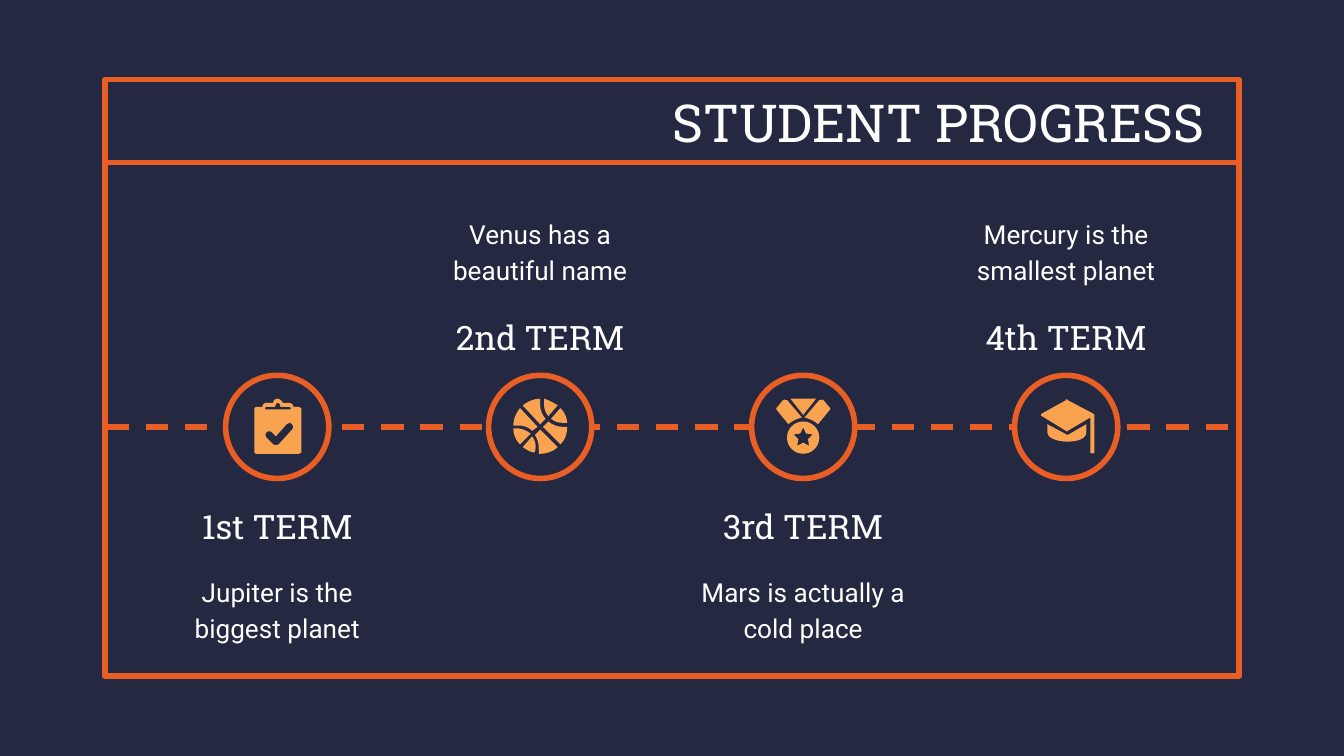
import math

from lxml import etree
from pptx import Presentation
from pptx.dml.color import RGBColor
from pptx.enum.dml import MSO_LINE
from pptx.enum.shapes import MSO_CONNECTOR, MSO_SHAPE
from pptx.enum.text import MSO_ANCHOR, PP_ALIGN
from pptx.oxml.ns import qn
from pptx.util import Cm, Pt

NAVY = RGBColor(0x24, 0x28, 0x41)
ORANGE = RGBColor(0xE9, 0x5E, 0x24)
AMBER = RGBColor(0xF9, 0xA3, 0x50)
WHITE = RGBColor(0xFF, 0xFF, 0xFF)
CENTER, RIGHT = PP_ALIGN.CENTER, PP_ALIGN.RIGHT
MIDDLE = MSO_ANCHOR.MIDDLE
STRAIGHT = MSO_CONNECTOR.STRAIGHT
RECTANGLE, OVAL = MSO_SHAPE.RECTANGLE, MSO_SHAPE.OVAL
DASH = MSO_LINE.DASH
BODY_FONT, HEAD_FONT = "Roboto", "Roboto Slab"

FIRST_X, PITCH, AXIS_Y = 5.24, 4.97, 8.07
DIAMETER, LABEL_WIDTH = 1.95, 4.52
ICON_UNIT = 0.0254  # cm
PRECISION = 100  # freeform steps per icon unit

TERMS = [
    ("1st TERM", "Jupiter is the biggest planet"),
    ("2nd TERM", "Venus has a beautiful name"),
    ("3rd TERM", "Mars is actually a cold place"),
    ("4th TERM", "Mercury is the smallest planet"),
]


def ring(cx, cy, radii, count):
    """Points around a centre, taking the radii in turn, from the top."""
    return [(cx + radii[i % len(radii)] * math.sin(math.tau * i / count),
             cy - radii[i % len(radii)] * math.cos(math.tau * i / count))
            for i in range(count)]


def mirrored(outline):
    return [tuple(-v if i % 2 == 0 else v for i, v in enumerate(step))
            for step in outline]


# An icon is a list of shapes, a shape a list of outlines (holes included).
# A step of an outline is a line (x, y) or a Bezier curve (x1, y1, x2, y2, x, y),
# measured from the centre of the marker.
CLIPBOARD = [[
    [(0, -21), (-1, -21, -3, -20, -3, -18), (-8, -18),
     (-9, -18, -11, -17, -11, -15), (-16, -15), (-17, -14), (-17, 19),
     (-16, 20), (16, 20), (18, 19), (18, -14), (16, -15), (12, -15),
     (12, -17, 10, -18, 8, -18), (4, -18), (4, -19, 2, -21, 0, -21)],
    [(0, -18), (1, -18, 2, -17, 2, -17), (2, -16, 2, -15, 3, -15), (8, -15),
     (9, -15, 10, -15, 10, -14), (10, -13), (-9, -13), (-9, -14),
     (-9, -15, -8, -15, -7, -15), (-2, -15), (-2, -15, -1, -16, -1, -17),
     (-1, -17, 0, -18, 0, -18)],
    [(9, -3), (10, -3, 11, -2, 11, -2), (12, -1, 12, 1, 11, 2), (1, 13),
     (0, 13.5, -2, 13.5, -3, 13), (-8, 8), (-9, 7, -9, 5, -8, 4),
     (-7, 3, -5, 3, -4, 4), (-1, 7), (7, -2), (8, -2, 8, -3, 9, -3)],
]]
BASKETBALL = [[outline] for outline in (
    [(-18, 1), (-18, 1, -19, 1, -20, 1), (-20, 6, -18, 10, -15, 13), (-7, 5),
     (-11, 2, -15, 1, -18, 1)],
    [(-15, -14), (-18, -10, -20, -6, -20, -1), (-20, -1, -19, -1, -18, -1),
     (-14, -1, -10, -1, -6, 3), (-2, 0)],
    [(-6, 7), (-13, 15), (-10, 17, -7, 19, -4, 19), (-3, 15, -3, 11, -6, 7)],
    [(6, -4), (2, 0), (15, 13), (19, 9, 20, 5, 20, 0), (19, 0),
     (15, 0, 11, 0, 6, -4)],
    [(0, 2), (-4, 6), (-1, 10, -1, 14, -1, 20), (0, 20),
     (5, 20, 10, 18, 13, 15)],
    [(3, -21), (3, -17, 2, -13, 6, -8), (13, -16), (10, -18, 6, -20, 3, -21)],
    [(0, -21), (-5, -21, -9, -19, -13, -16), (0, -2), (4, -6),
     (-1, -12, 0, -17, 0, -21)],
    [(15, -14), (8, -6), (12, -3, 15, -3, 18, -3), (20, -3),
     (20, -7, 18, -11, 15, -14)],
)]
RIBBON = [(-13, -20), (-14, -20.5, -15, -20, -15, -20), (-20, -14),
          (-20, -13), (-11, -2), (-9, -4, -5, -6, -1, -7), (-12, -20)]
MEDAL = [
    [ring(0, 8, [12], 48), ring(0, 8, [7.5, 3.75], 10)],
    [mirrored(RIBBON)],
    [[(-9.5, -21), (0, -9), (9.5, -21)]],
    [RIBBON],
]
GRADUATION_CAP = [
    [[(-14, -2), (-14, 4), (-14, 9, -5, 11, 1, 11), (8, 11, 15, 9, 15, 4),
      (15, -2), (3, 5), (2, 6, 0, 6, -1, 5)]],
    [[(0, -20), (-18, -10), (-19, -9, -19, -8, -18, -8), (0, 3),
      (0, 3.5, 1, 3.5, 1, 3), (18, -7), (18, 19), (18, 20, 21, 20, 21, 19),
      (21, -9), (20, -10), (1, -20), (1, -21, 0, -21, 0, -20)]],
]
ICONS = [CLIPBOARD, BASKETBALL, MEDAL, GRADUATION_CAP]


def flatten(outline, steps=8):
    """Turn curves into short line segments, on the freeform's grid."""
    points = []
    for step in outline:
        if len(step) == 2:
            points.append(step)
            continue
        start = points[-1]
        for i in range(1, steps + 1):
            t = i / steps
            u = 1 - t
            points.append(tuple(
                u**3 * start[k] + 3 * u * u * t * step[k]
                + 3 * u * t * t * step[k + 2] + t**3 * step[k + 4]
                for k in (0, 1)))
    return [(x * PRECISION, y * PRECISION) for x, y in points]


def add_icon(slide, icon, cx, cy):
    group = slide.shapes.add_group_shape()
    for outlines in icon:
        first, *holes = [flatten(outline) for outline in outlines]
        builder = group.shapes.build_freeform(
            *first[0], scale=Cm(ICON_UNIT) / PRECISION)
        builder.add_line_segments(first[1:])
        for hole in holes:
            builder.move_to(*hole[0])
            builder.add_line_segments(hole[1:])
        sp = builder.convert_to_shape(Cm(cx), Cm(cy))
        sp.shadow.inherit = False
        sp.fill.solid()
        sp.fill.fore_color.rgb = AMBER
        sp.line.fill.background()


def style_line(line):
    line.color.rgb = ORANGE
    line.width = Pt(3)


def add_outlined(slide, kind, left, top, width, height):
    sp = slide.shapes.add_shape(kind, Cm(left), Cm(top), Cm(width), Cm(height))
    sp.shadow.inherit = False
    sp.fill.solid()
    sp.fill.fore_color.rgb = NAVY
    style_line(sp.line)


def add_horizontal(slide, left, right, y, dash=None):
    line = slide.shapes.add_connector(STRAIGHT, Cm(left), Cm(y), Cm(right), Cm(y))
    style_line(line.line)
    if dash:
        line.line.dash_style = dash
    etree.SubElement(line._element.spPr, qn("a:effectLst"))


def add_text(slide, text, left, top, width, height, font, size,
             align=CENTER, spacing=1.15):
    tf = slide.shapes.add_textbox(
        Cm(left), Cm(top), Cm(width), Cm(height)).text_frame
    tf.word_wrap = True
    tf.vertical_anchor = MIDDLE
    tf.margin_left = tf.margin_right = Cm(0.25)
    tf.margin_top = tf.margin_bottom = Cm(0.25)
    p = tf.paragraphs[0]
    p.text = text
    p.alignment = align
    p.line_spacing = spacing
    p.font.name = font
    p.font.size = Pt(size)
    p.font.color.rgb = WHITE


def add_term(slide, index, heading, description, icon):
    """Odd terms are labelled below the timeline, even ones above it."""
    cx = FIRST_X + index * PITCH
    add_outlined(slide, OVAL, cx - DIAMETER / 2, AXIS_Y - DIAMETER / 2,
                 DIAMETER, DIAMETER)
    add_icon(slide, icon, cx, AXIS_Y)
    heading_top, text_top = (9.3, 10.49) if index % 2 == 0 else (5.72, 3.73)
    left = cx - LABEL_WIDTH / 2
    add_text(slide, heading, left, heading_top, LABEL_WIDTH, 1.19, HEAD_FONT, 18)
    add_text(slide, description, left, text_top, LABEL_WIDTH, 1.98, BODY_FONT, 14)


def main():
    prs = Presentation()
    prs.slide_width, prs.slide_height = Cm(25.4), Cm(14.29)
    slide = prs.slides.add_slide(prs.slide_layouts[6])
    slide.background.fill.solid()
    slide.background.fill.fore_color.rgb = NAVY

    add_outlined(slide, RECTANGLE, 1.98, 1.5, 21.44, 11.28)
    add_horizontal(slide, 2.03, 23.37, 3.07)
    add_text(slide, "STUDENT PROGRESS", 2.39, 1.5, 20.62, 1.6,
             HEAD_FONT, 28, RIGHT, 1)
    add_horizontal(slide, 2.01, 23.39, AXIS_Y, DASH)
    for index, ((heading, description), icon) in enumerate(zip(TERMS, ICONS)):
        add_term(slide, index, heading, description, icon)

    prs.save("out.pptx")


if __name__ == "__main__":
    main()
